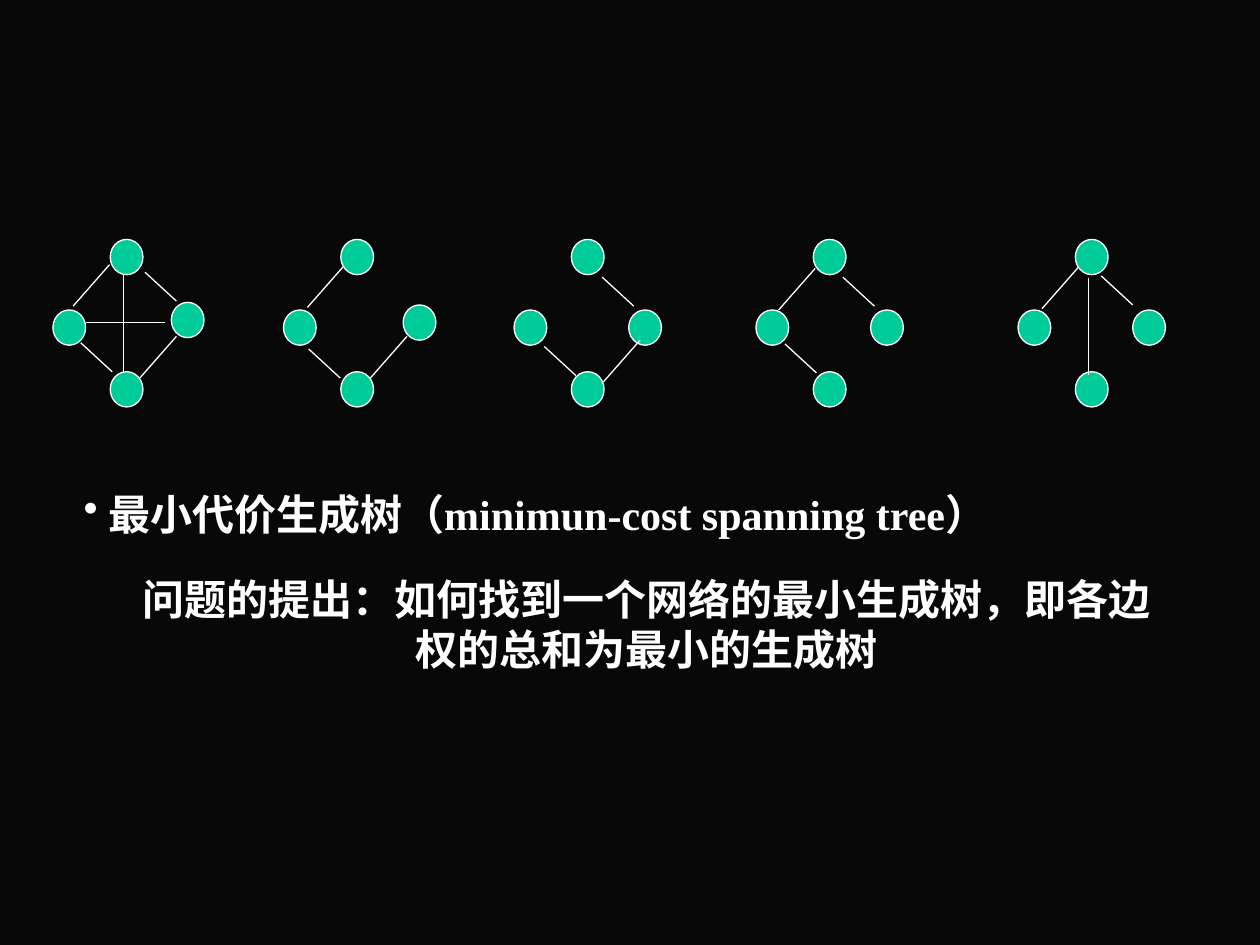
from lxml import etree
from pptx import Presentation
from pptx.dml.color import RGBColor
from pptx.enum.shapes import MSO_CONNECTOR, MSO_SHAPE
from pptx.enum.text import MSO_ANCHOR, MSO_AUTO_SIZE, PP_ALIGN
from pptx.oxml.ns import qn
from pptx.util import Inches, Pt

BLACK = RGBColor(0x08, 0x08, 0x08)
WHITE = RGBColor(0xFF, 0xFF, 0xFF)
GREEN = RGBColor(0x00, 0xCC, 0x99)

OVAL = MSO_SHAPE.OVAL
STRAIGHT = MSO_CONNECTOR.STRAIGHT
CENTER = PP_ALIGN.CENTER
MIDDLE = MSO_ANCHOR.MIDDLE
FIT_SHAPE = MSO_AUTO_SIZE.SHAPE_TO_FIT_TEXT

FONT = "Times New Roman"
NODE_WIDTH, NODE_HEIGHT = 0.26, 0.28
LINE_WIDTH = Pt(0.75)

# Edge directions, as (width, height) of the line
RISING = (0.29, -0.33)
FALLING = (0.25, 0.23)
VERTICAL = (0, 0.77)
HORIZONTAL = (0.63, 0)

# Each graph: left edge, place of its right node, edges as (start x, start y, direction)
GRAPHS = [
    (0.42, (1.36, 2.40), [
        (0.98, 2.18, VERTICAL), (0.68, 2.56, HORIZONTAL),
        (0.58, 2.43, RISING), (0.64, 2.72, FALLING),
        (1.11, 3.00, RISING), (1.15, 2.16, FALLING)]),
    (2.25, (3.20, 2.42), [
        (2.44, 2.44, RISING), (2.94, 3.00, RISING), (2.45, 2.77, FALLING)]),
    (4.08, (4.99, 2.46), [
        (4.32, 2.75, FALLING), (4.78, 2.20, FALLING), (4.79, 3.03, RISING)]),
    (6.00, (6.91, 2.46), [
        (6.23, 2.73, FALLING), (6.69, 2.20, FALLING), (6.18, 2.46, RISING)]),
    (8.08, (8.99, 2.46), [
        (8.74, 2.19, FALLING), (8.27, 2.45, RISING), (8.64, 2.21, VERTICAL)]),
]


def add_node(group, left, top):
    node = group.shapes.add_shape(OVAL, Inches(left), Inches(top),
                                  Inches(NODE_WIDTH), Inches(NODE_HEIGHT))
    node.shadow.inherit = False
    node.fill.solid()
    node.fill.fore_color.rgb = GREEN
    node.line.color.rgb = WHITE
    node.line.width = LINE_WIDTH


def add_edge(group, x, y, direction):
    width, height = direction
    edge = group.shapes.add_connector(STRAIGHT, Inches(x), Inches(y),
                                      Inches(x + width), Inches(y + height))
    edge.line.color.rgb = WHITE
    edge.line.width = LINE_WIDTH
    properties = edge._element.find(qn("p:spPr"))
    etree.SubElement(properties, qn("a:effectLst"))


def add_graph(slide, left, right_node, edges):
    group = slide.shapes.add_group_shape()
    middle = left + 0.455
    for node in [(left, 2.46), (middle, 1.90), right_node, (middle, 2.95)]:
        add_node(group, *node)
    for edge in edges:
        add_edge(group, *edge)


def add_bullet(paragraph):
    properties = paragraph._p.get_or_add_pPr()
    properties.set("marL", "0")
    properties.set("indent", "0")
    color = etree.SubElement(properties, qn("a:buClr"))
    etree.SubElement(color, qn("a:srgbClr")).set("val", str(WHITE))
    etree.SubElement(properties, qn("a:buChar")).set("char", "•")


def add_text(slide, lines, left, top, width, height, size=24, bullet=False):
    box = slide.shapes.add_textbox(Inches(left), Inches(top),
                                   Inches(width), Inches(height))
    frame = box.text_frame
    frame.word_wrap = False
    frame.auto_size = FIT_SHAPE
    frame.vertical_anchor = MIDDLE
    for index, line in enumerate(lines):
        paragraph = frame.add_paragraph() if index else frame.paragraphs[0]
        paragraph.alignment = CENTER
        if bullet:
            add_bullet(paragraph)
        run = paragraph.add_run()
        run.text = line
        run.font.name = FONT
        run.font.size = Pt(size)
        run.font.bold = True
        run.font.color.rgb = WHITE


def main():
    presentation = Presentation()
    presentation.slide_width = Inches(10)
    presentation.slide_height = Inches(7.5)
    slide = presentation.slides.add_slide(presentation.slide_layouts[6])
    slide.background.fill.solid()
    slide.background.fill.fore_color.rgb = BLACK

    # A connected graph and four of its spanning trees
    for left, right_node, edges in GRAPHS:
        add_graph(slide, left, right_node, edges)

    # Term and problem statement
    add_text(slide, [" 最小代价生成树（minimun-cost spanning tree）"],
             0.48, 3.83, 7.54, 0.5, bullet=True)
    add_text(slide, ["问题的提出：如何找到一个网络的最小生成树，即各边",
                     "权的总和为最小的生成树"], 1.03, 4.5, 8.2, 0.9)

    presentation.save("out.pptx")


if __name__ == "__main__":
    main()
